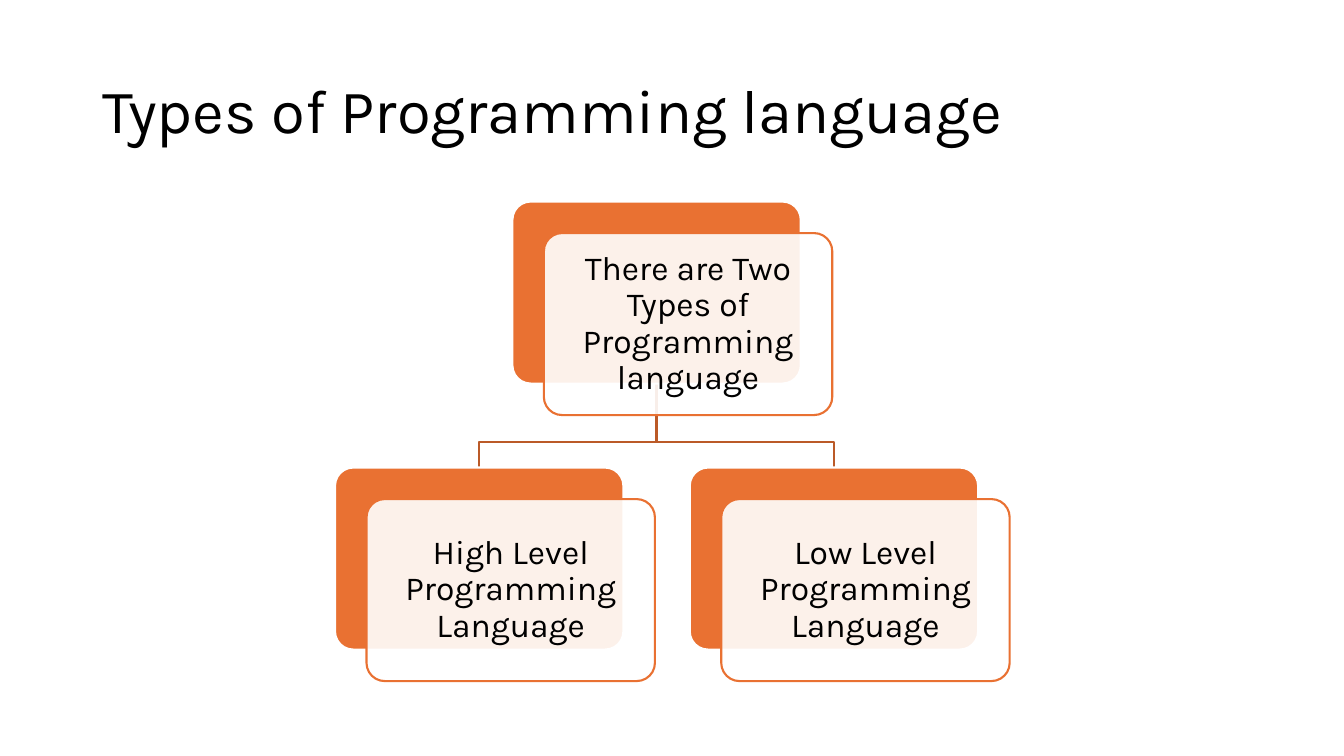
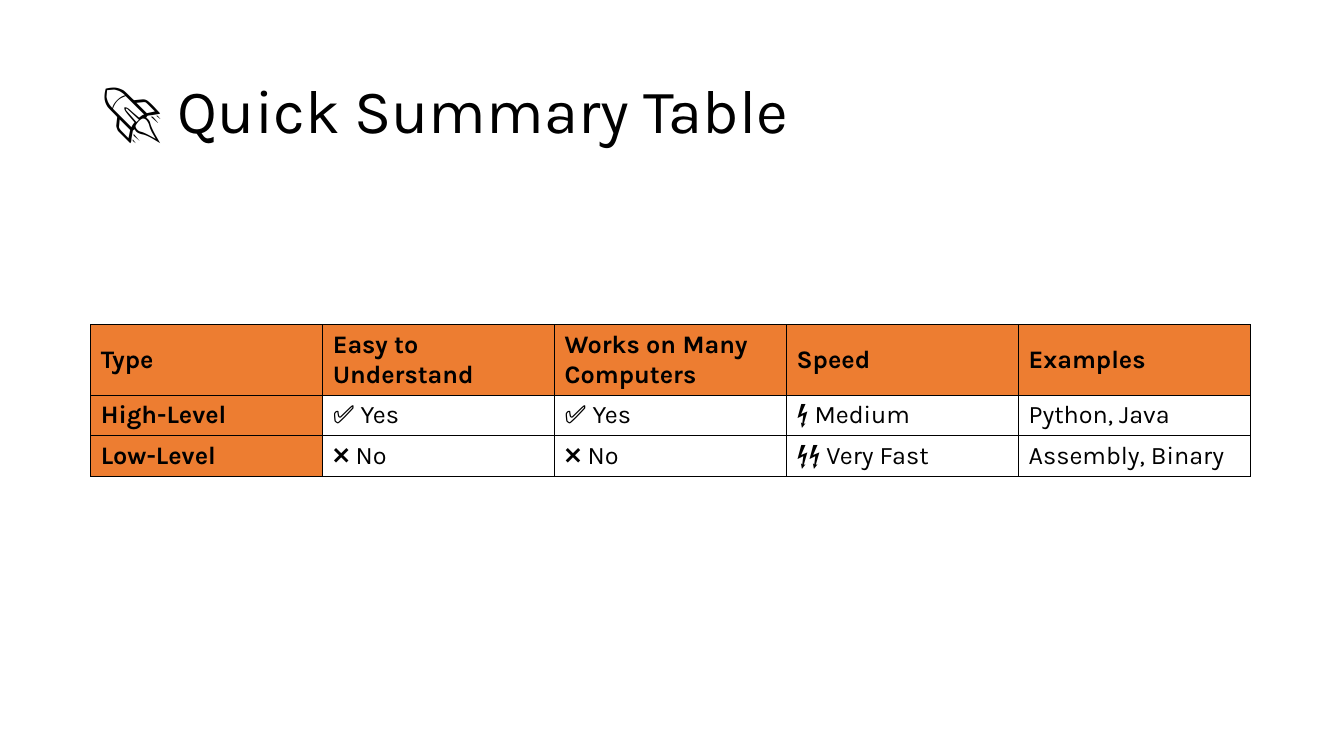
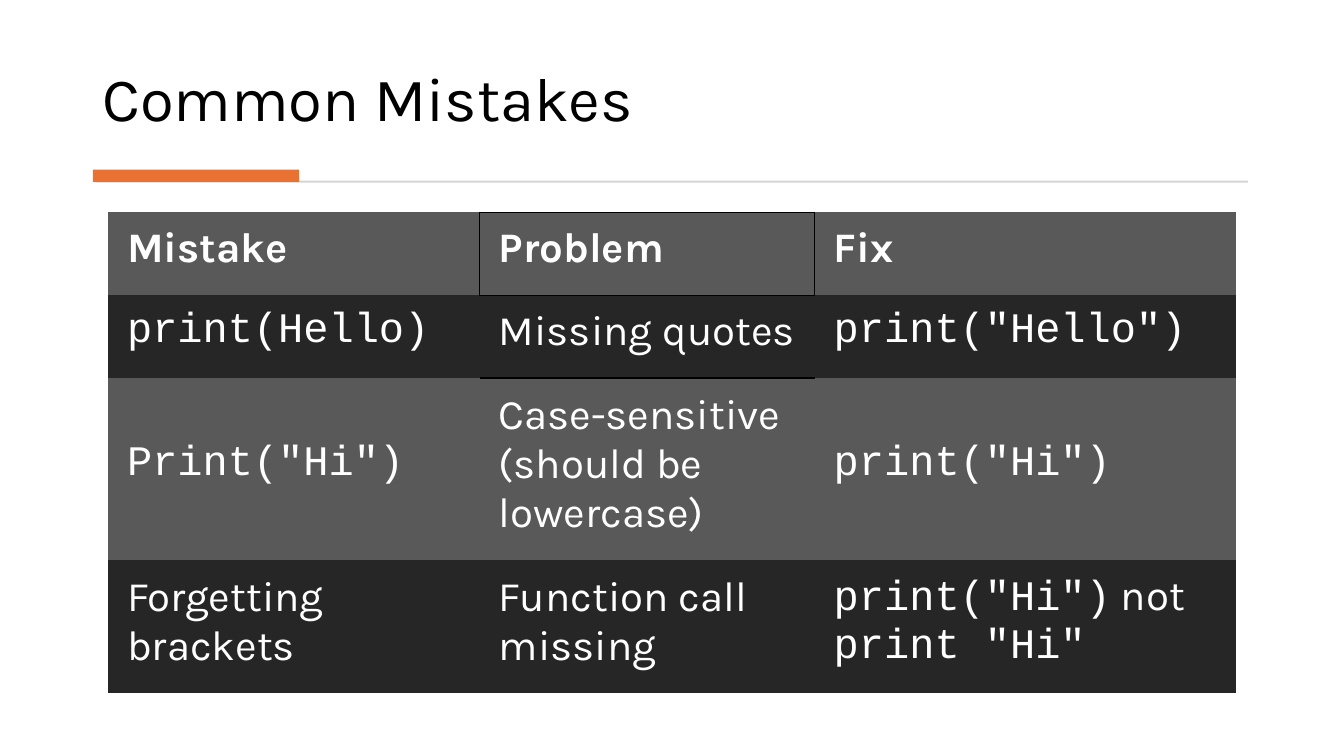
import pptx
import pptx.util
import pptx.dml.color
import pptx.enum.shapes
import pptx.enum.text
import pptx.oxml
import pptx.oxml.ns
from lxml import etree

Pt = pptx.util.Pt
RGBColor = pptx.dml.color.RGBColor
SHAPE = pptx.enum.shapes.MSO_SHAPE
ANCHOR = pptx.enum.text.MSO_ANCHOR
ALIGN = pptx.enum.text.PP_ALIGN
qn = pptx.oxml.ns.qn

BLACK = RGBColor(0x00, 0x00, 0x00)
WHITE = RGBColor(0xFF, 0xFF, 0xFF)
ORANGE = RGBColor(0xE9, 0x71, 0x32)
HEADER_ORANGE = RGBColor(0xED, 0x7D, 0x31)
BRANCH = RGBColor(0xBB, 0x5A, 0x28)
RULE_GREY = RGBColor(0xD5, 0xD5, 0xD5)
MID_GREY = RGBColor(0x59, 0x59, 0x59)
DARK_GREY = RGBColor(0x26, 0x26, 0x26)

NO_TABLE_STYLE = "{2D5ABB26-0587-4C30-8999-92F81FD0307C}"


class Deck:
    FONT = "Karla"
    CODE_FONT = "Courier New"
    TITLE_SIZE = 44
    NODE_SIZE = 24
    NODE_W, NODE_H = 206, 130
    NODE_OFFSET = 22.5
    LINE_W = 1.5

    def __init__(self):
        self.prs = pptx.Presentation()
        self.prs.slide_width, self.prs.slide_height = Pt(960), Pt(540)
        self.s = None

    def slide(self):
        self.s = self.prs.slides.add_slide(self.prs.slide_layouts[6])

    def style(self, p, size, color, bold=False):
        p.font.name = self.FONT
        p.font.size = Pt(size)
        p.font.color.rgb = color
        p.font.bold = bold

    def title(self, text, top=28.8, height=104.4, anchor=ANCHOR.MIDDLE):
        tf = self.s.shapes.add_textbox(Pt(66), Pt(top), Pt(828), Pt(height)).text_frame
        tf.word_wrap = True
        tf.vertical_anchor = anchor
        p = tf.paragraphs[0]
        p.text = text
        p.line_spacing = 0.9
        self.style(p, self.TITLE_SIZE, BLACK)

    def box(self, kind, left, top, width, height, fill, line=None):
        sp = self.s.shapes.add_shape(kind, Pt(left), Pt(top), Pt(width), Pt(height))
        sp.shadow.inherit = False
        sp.fill.solid()
        sp.fill.fore_color.rgb = fill
        if line is None:
            sp.line.fill.background()
        else:
            sp.line.color.rgb = line
            sp.line.width = Pt(self.LINE_W)
        return sp

    def node(self, left, top, text):
        """A solid card with a translucent, captioned card set off over it."""
        size = self.NODE_W, self.NODE_H
        back = self.box(SHAPE.ROUNDED_RECTANGLE, left, top, *size, ORANGE, WHITE)
        front = self.box(SHAPE.ROUNDED_RECTANGLE, left + self.NODE_OFFSET,
                         top + self.NODE_OFFSET, *size, WHITE, ORANGE)
        for card in (back, front):
            card.adjustments[0] = 0.1
        color = front.fill._xPr.find(qn("a:solidFill"))[0]
        etree.SubElement(color, qn("a:alpha"), val="90000")
        tf = front.text_frame
        tf.word_wrap = True
        tf.vertical_anchor = ANCHOR.MIDDLE
        tf.margin_left = tf.margin_right = tf.margin_top = tf.margin_bottom = Pt(7.2)
        p = tf.paragraphs[0]
        p.text = text
        p.alignment = ALIGN.CENTER
        p.line_spacing = 0.9
        self.style(p, self.NODE_SIZE, BLACK)

    def branch(self, *points):
        """An open line through the points."""
        start, *rest = [(Pt(x), Pt(y)) for x, y in points]
        builder = self.s.shapes.build_freeform(*start)
        builder.add_line_segments(rest, close=False)
        sp = builder.convert_to_shape()
        sp.shadow.inherit = False
        sp.fill.background()
        sp.line.color.rgb = BRANCH
        sp.line.width = Pt(self.LINE_W)

    def borders(self, cell, sides):
        for side in sides:
            ln = etree.SubElement(cell._tc.get_or_add_tcPr(), qn("a:ln" + side), w="12700")
            fill = etree.SubElement(ln, qn("a:solidFill"))
            etree.SubElement(fill, qn("a:srgbClr"), val=str(BLACK))

    def table(self, left, top, widths, heights, rows, size, color,
              fill, bold, sides, margins=None):
        """fill, bold and sides are rules called with row and column;
        text between backticks is set as code."""
        frame = self.s.shapes.add_table(len(heights), len(widths), Pt(left), Pt(top),
                                        Pt(sum(widths)), Pt(sum(heights)))
        table = frame.table
        table._tbl.tblPr.find(qn("a:tableStyleId")).text = NO_TABLE_STYLE
        for column, width in zip(table.columns, widths):
            column.width = Pt(width)
        for r, (height, texts) in enumerate(zip(heights, rows)):
            table.rows[r].height = Pt(height)
            for c, text in enumerate(texts):
                cell = table.cell(r, c)
                cell.vertical_anchor = ANCHOR.MIDDLE
                if margins:
                    cell.margin_left = cell.margin_right = cell.margin_bottom = Pt(margins[0])
                    cell.margin_top = Pt(margins[1])
                self.borders(cell, sides(r, c))
                if fill(r, c) is None:
                    cell.fill.background()
                else:
                    cell.fill.solid()
                    cell.fill.fore_color.rgb = fill(r, c)
                p = cell.text_frame.paragraphs[0]
                self.style(p, size, color, bold(r, c))
                for i, piece in enumerate(text.split("`")):
                    if piece:
                        run = p.add_run()
                        run.text = piece
                        if i % 2:
                            run.font.name = self.CODE_FONT


def types_slide(deck):
    deck.slide()
    deck.title("Types of Programming language")
    root_left, root_top = 366, 144
    child_top, child_step = 334, 253.4
    bend = 315.5
    children = ["High Level Programming Language", "Low Level Programming Language"]
    lefts = [root_left + (i - 0.5) * child_step for i in range(len(children))]
    half = deck.NODE_W / 2
    root_x = root_left + half
    for left in lefts:
        deck.branch((root_x, root_top + deck.NODE_H), (root_x, bend),
                    (left + half, bend), (left + half, child_top))
    deck.node(root_left, root_top, "There are Two Types of Programming language")
    for left, text in zip(lefts, children):
        deck.node(left, child_top, text)


def summary_slide(deck):
    deck.slide()
    deck.title("🚀 Quick Summary Table")
    rows = [
        ["Type", "Easy to Understand", "Works on Many Computers", "Speed", "Examples"],
        ["High-Level", "✅ Yes", "✅ Yes", "⚡ Medium", "Python, Java"],
        ["Low-Level", "❌ No", "❌ No", "⚡⚡ Very Fast", "Assembly, Binary"],
    ]
    deck.table(64.8, 232, [165.7] * 5, [49.6, 28.4, 28.4], rows, 18, BLACK,
               fill=lambda r, c: HEADER_ORANGE if r == 0 or c == 0 else None,
               bold=lambda r, c: r == 0 or c == 0,
               sides=lambda r, c: "LRTB")


def mistakes_slide(deck):
    deck.slide()
    deck.title("Common Mistakes", top=20, height=80, anchor=ANCHOR.BOTTOM)
    deck.box(SHAPE.RECTANGLE, 68.4, 129, 823, 1.4, RULE_GREY)
    deck.box(SHAPE.RECTANGLE, 66.4, 121.2, 147.4, 8.8, ORANGE)
    rows = [
        ["Mistake", "Problem", "Fix"],
        ["`print(Hello)`", "Missing quotes", '`print("Hello")`'],
        ['`Print("Hi")`', "Case-sensitive (should be lowercase)", '`print("Hi")`'],
        ["Forgetting brackets", "Function call missing", '`print("Hi")` not `print "Hi"`'],
    ]
    outline = {(0, 0): "R", (0, 1): "LRTB", (0, 2): "L", (1, 1): "T"}
    deck.table(77.2, 151.6, [265.6, 239.2, 301], [59.2, 59.2, 130, 95], rows, 30, WHITE,
               fill=lambda r, c: DARK_GREY if r % 2 else MID_GREY,
               bold=lambda r, c: r == 0,
               sides=lambda r, c: outline.get((r, c), ""),
               margins=(13.6, 6.8))


def main():
    deck = Deck()
    types_slide(deck)
    summary_slide(deck)
    mistakes_slide(deck)
    deck.prs.save("out.pptx")


if __name__ == "__main__":
    main()
